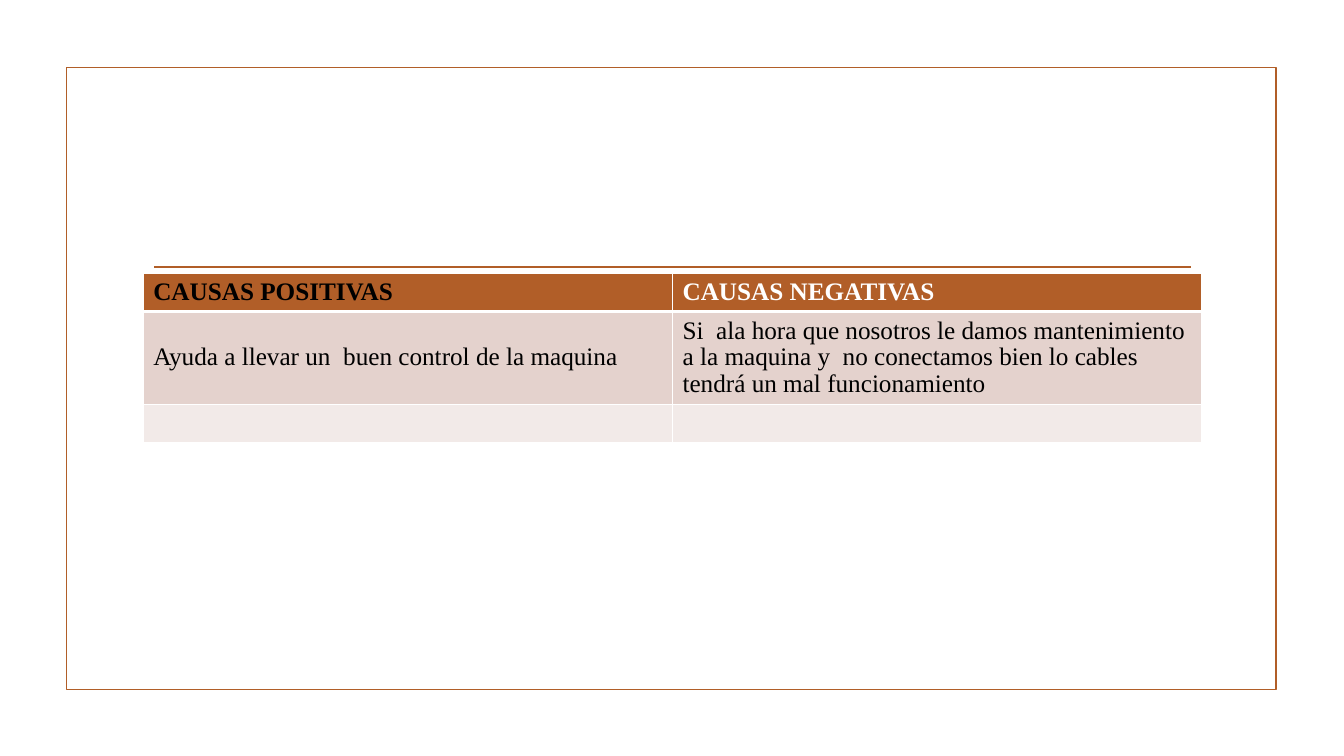
from lxml.etree import SubElement
from pptx import Presentation
from pptx.dml.color import RGBColor
from pptx.enum.shapes import MSO_CONNECTOR, MSO_SHAPE
from pptx.enum.text import MSO_ANCHOR
from pptx.oxml.ns import qn
from pptx.util import Inches, Pt

ACCENT, WHITE, BLACK = "B15E28", "FFFFFF", "000000"
ROW_FILLS = [ACCENT, "E4D2CD", "F2EAE8"]
ROW_HEIGHTS = [0.38, 0.92, 0.38]
COLUMN_WIDTH = 5.25
CAUSES = [
    ["CAUSAS POSITIVAS", "CAUSAS NEGATIVAS"],
    ["Ayuda a llevar un  buen control de la maquina",
     "Si  ala hora que nosotros le damos mantenimiento a la maquina y  "
     "no conectamos bien lo cables tendrá un mal funcionamiento"],
    ["", ""],
]
CELL_FORMAT = {
    "vertical_anchor": MSO_ANCHOR.MIDDLE,
    "margin_left": Inches(0.1),
    "margin_right": Inches(0.1),
    "margin_top": Inches(0.03),
    "margin_bottom": Inches(0.03),
}


def rgb(color):
    return RGBColor.from_string(color)


def set_attributes(obj, values):
    for name, value in values.items():
        setattr(obj, name, value)


def style_line(line):
    line.color.rgb = rgb(ACCENT)
    line.width = Pt(1.25)


def add_frame(slide, left, top, width, height):
    sp = slide.shapes.add_shape(MSO_SHAPE.RECTANGLE, Inches(left), Inches(top),
                                Inches(width), Inches(height))
    sp.shadow.inherit = False
    sp.fill.background()
    style_line(sp.line)


def add_rule(slide, left, right, y):
    rule = slide.shapes.add_connector(MSO_CONNECTOR.STRAIGHT, Inches(left), Inches(y),
                                      Inches(right), Inches(y))
    style_line(rule.line)
    SubElement(rule._element.spPr, qn("a:effectLst"))


def set_borders(cell, widths):
    """Draw white borders; widths maps each side tag to points, in schema order."""
    tcPr = cell._tc.get_or_add_tcPr()
    for index, (side, width) in enumerate(widths.items()):
        ln = tcPr.makeelement(qn(f"a:{side}"), {"w": str(Pt(width))})
        fill = SubElement(ln, qn("a:solidFill"))
        SubElement(fill, qn("a:srgbClr"), val=WHITE)
        tcPr.insert(index, ln)


def fill_cell(cell, text, fill, color, bold):
    set_attributes(cell, CELL_FORMAT)
    cell.fill.solid()
    cell.fill.fore_color.rgb = rgb(fill)
    p = cell.text_frame.paragraphs[0]
    p.line_spacing = 0.95
    r = p.add_run()
    r.text = text
    set_attributes(r.font, {"name": "Times New Roman", "size": Pt(18), "bold": bold})
    r.font.color.rgb = rgb(color)


def add_causes_table(slide, left, top):
    columns = len(CAUSES[0])
    table = slide.shapes.add_table(
        len(CAUSES), columns, Inches(left), Inches(top),
        Inches(COLUMN_WIDTH * columns), Inches(sum(ROW_HEIGHTS))).table
    for column in table.columns:
        column.width = Inches(COLUMN_WIDTH)
    for i, texts in enumerate(CAUSES):
        table.rows[i].height = Inches(ROW_HEIGHTS[i])
        header = i == 0
        for j, text in enumerate(texts):
            cell = table.cell(i, j)
            color = WHITE if header and j == 1 else BLACK
            fill_cell(cell, text, ROW_FILLS[i], color, header)
            set_borders(cell, {"lnL": 1, "lnR": 1, "lnT": 3 if i == 1 else 1,
                               "lnB": 3 if header else 1})


def main():
    prs = Presentation()
    set_attributes(prs, {"slide_width": Inches(13.33), "slide_height": Inches(7.5)})
    slide = prs.slides.add_slide(prs.slide_layouts[6])
    add_frame(slide, 0.66, 0.67, 12, 6.17)
    add_rule(slide, 1.53, 11.81, 2.65)
    add_causes_table(slide, 1.42, 2.71)
    prs.save("out.pptx")


if __name__ == "__main__":
    main()
